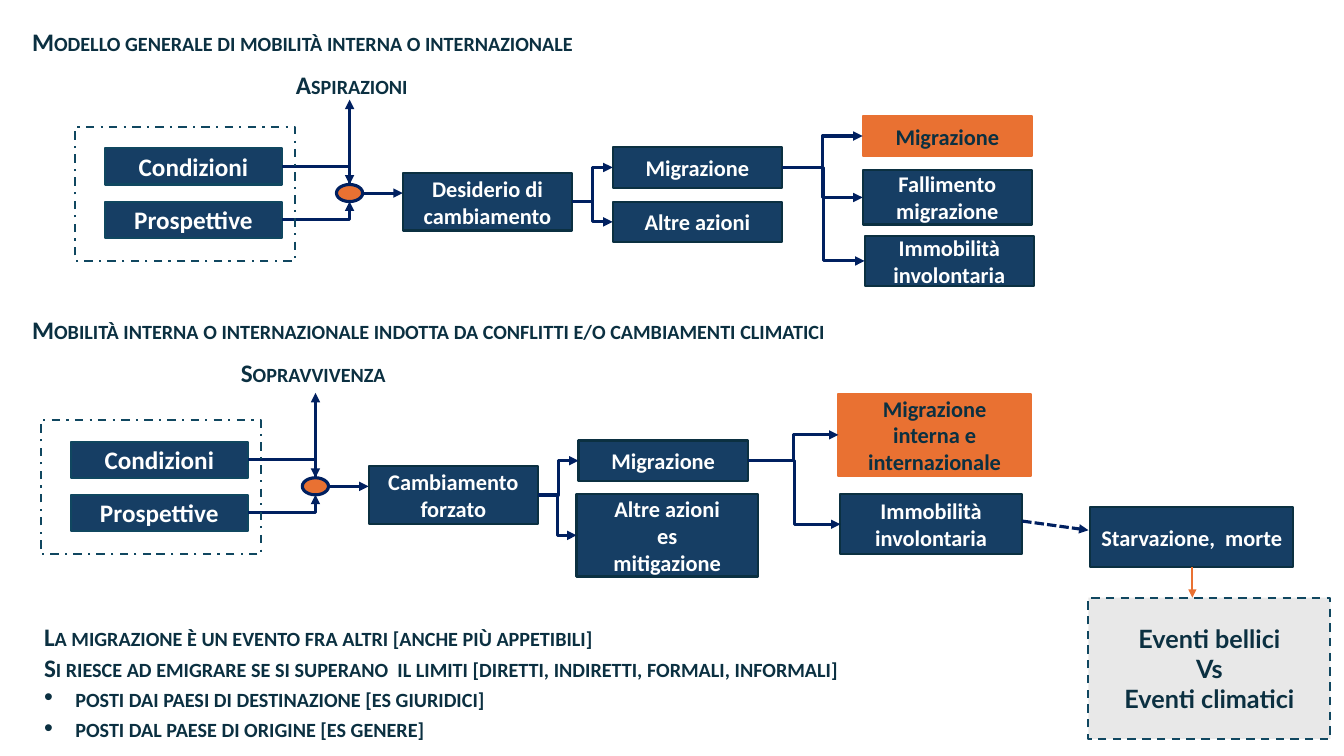
from lxml import etree
from pptx import Presentation
from pptx.dml.color import RGBColor
from pptx.enum.dml import MSO_LINE
from pptx.enum.shapes import MSO_CONNECTOR, MSO_SHAPE
from pptx.enum.text import MSO_ANCHOR, PP_ALIGN
from pptx.oxml.ns import qn
from pptx.util import Cm, Pt

RECT, OVAL = MSO_SHAPE.RECTANGLE, MSO_SHAPE.OVAL
STRAIGHT, ELBOW = MSO_CONNECTOR.STRAIGHT, MSO_CONNECTOR.ELBOW
DASH, SHORT_DASH, DASH_DOT = MSO_LINE.DASH, MSO_LINE.SQUARE_DOT, MSO_LINE.DASH_DOT
MIDDLE, CENTER = MSO_ANCHOR.MIDDLE, PP_ALIGN.CENTER
LEFT_SITE, RIGHT_SITE = 1, 3

COLORS = {
    "navy": "163E64", "ink": "0B3041", "teal": "104760", "arrow": "002060",
    "orange": "E97132", "grey": "E8E8E8", "white": "FFFFFF",
}


def rgb(name):
    return RGBColor.from_string(COLORS[name])


class FlowSlide:
    """Holds the style and the slide; every length is in centimetres."""

    def __init__(self, slide, font="Calibri"):
        self.shapes = slide.shapes
        self.font = font

    def set_text(self, frame, lines, size, color, font=None, small_caps=False):
        frame.text = "\n".join(lines)
        for paragraph in frame.paragraphs:
            for run in paragraph.runs:
                run.font.name = font or self.font
                run.font.size = Pt(size)
                run.font.bold = True
                run.font.color.rgb = rgb(color)
                if small_caps:
                    run._r.get_or_add_rPr().set("cap", "small")

    def outline(self, kind, x, y, width, height, fill, line, weight=1.5, dash=None):
        shape = self.shapes.add_shape(kind, Cm(x), Cm(y), Cm(width), Cm(height))
        shape.shadow.inherit = False
        if fill:
            shape.fill.solid()
            shape.fill.fore_color.rgb = rgb(fill)
        else:
            shape.fill.background()
        shape.line.color.rgb = rgb(line)
        shape.line.width = Pt(weight)
        if dash:
            shape.line.dash_style = dash
        return shape

    def box(self, x, y, width, height, *lines, fill="navy", line="ink", color="white",
            size=16, dash=None, font=None):
        shape = self.outline(RECT, x, y, width, height, fill, line, dash=dash)
        frame = shape.text_frame
        frame.word_wrap = True
        frame.vertical_anchor = MIDDLE
        self.set_text(frame, lines, size, color, font)
        for paragraph in frame.paragraphs:
            paragraph.alignment = CENTER
        return shape

    def goal_box(self, x, y, width, height, text):
        return self.box(x, y, width, height, text, fill="orange", line="orange", color="ink")

    def label(self, x, y, width, height, *lines, bullets_from=None):
        """Small-caps text; lines from index bullets_from on get a bullet."""
        frame = self.shapes.add_textbox(Cm(x), Cm(y), Cm(width), Cm(height)).text_frame
        frame.word_wrap = True
        self.set_text(frame, lines, 18, "ink", small_caps=True)
        if bullets_from is not None:
            for paragraph in frame.paragraphs[bullets_from:]:
                properties = paragraph._p.get_or_add_pPr()
                properties.set("marL", str(Cm(0.79)))
                properties.set("indent", str(-Cm(0.79)))
                font = etree.SubElement(properties, qn("a:buFont"))
                font.set("typeface", "Arial")
                etree.SubElement(properties, qn("a:buChar")).set("char", "•")

    def arrow(self, x1, y1, x2, y2, kind=STRAIGHT, color="arrow", weight=2.25, dash=None):
        connector = self.shapes.add_connector(kind, Cm(x1), Cm(y1), Cm(x2), Cm(y2))
        connector.line.color.rgb = rgb(color)
        connector.line.width = Pt(weight)
        if dash:
            connector.line.dash_style = dash
        line = connector.line._get_or_add_ln()
        etree.SubElement(line, qn("a:tailEnd")).set("type", "triangle")
        etree.SubElement(connector._element.spPr, qn("a:effectLst"))
        return connector

    def corner_arrow(self, x1, y1, x2, y2):
        """Runs level first, then turns once."""
        connector = self.arrow(x1, y1, x2, y2, ELBOW)
        connector._element.spPr.find(qn("a:prstGeom")).set("prst", "bentConnector2")

    def branch(self, source, *targets):
        """Elbow arrows from the right of one box to the left of others."""
        for target in targets:
            connector = self.arrow(0, 0, 1, 1, ELBOW)
            connector.begin_connect(source, RIGHT_SITE)
            connector.end_connect(target, LEFT_SITE)

    def drivers(self, x, y, decision):
        """Conditions and prospects, their junction, and the decision box."""
        box_width, box_height = 4.47, 0.91
        node_x, node_y, node_width, node_height = x + 6.58, y + 1.45, 0.66, 0.43
        node_center = node_x + node_width / 2
        for i, driver in enumerate(("Condizioni", "Prospettive")):
            top = y + 0.54 + 1.34 * i
            self.box(x + 0.74, top, box_width, box_height, driver, line="teal", size=18)
            self.corner_arrow(x + 0.74 + box_width, top + box_height / 2,
                              node_center, node_y + node_height * i)
        self.outline(OVAL, node_x, node_y, node_width, node_height, "orange", "arrow", 2.25)
        node_middle = node_y + node_height / 2
        self.arrow(node_x + node_width, node_middle, x + 8.25, node_middle)
        self.arrow(node_center, node_y, node_center, y - 0.69)
        self.outline(RECT, x, y, 5.54, 3.38, None, "teal", dash=DASH_DOT)
        return self.box(x + 8.25, y + 1.16, 4.27, 1.45, decision)


def general_model(flow):
    flow.label(0.56, 0.53, 16.89, 1.02, "Modello generale di mobilità interna o internazionale")
    flow.label(7.21, 1.63, 4.5, 1.02, "Aspirazioni")
    desire = flow.drivers(1.9, 3.2, "Desiderio di cambiamento")
    migration = flow.box(15.44, 3.71, 4.27, 1.02, "Migrazione")
    other = flow.box(15.44, 5.08, 4.27, 1.02, "Altre azioni")
    success = flow.goal_box(21.74, 2.92, 4.27, 1.02, "Migrazione")
    failure = flow.box(21.74, 4.29, 4.27, 1.37, "Fallimento migrazione")
    immobility = flow.box(21.79, 5.94, 4.27, 1.27, "Immobilità involontaria")
    flow.branch(desire, migration, other)
    flow.branch(migration, success, failure, immobility)


def forced_model(flow):
    flow.label(0.56, 7.8, 24.64, 1.02, "Mobilità interna o internazionale indotta "
               "da conflitti e/o cambiamenti climatici")
    flow.label(5.82, 8.89, 4.95, 1.02, "Sopravvivenza")
    change = flow.drivers(1.04, 10.59, "Cambiamento forzato")
    migration = flow.box(14.58, 11.1, 4.27, 1.02, "Migrazione")
    other = flow.box(14.53, 12.45, 4.57, 2.08, "Altre azioni", "es", "mitigazione")
    success = flow.goal_box(21.13, 9.93, 4.85, 2.06, "Migrazione interna e internazionale")
    immobility = flow.box(21.18, 12.45, 4.57, 1.52, "Immobilità involontaria")
    flow.branch(change, migration, other)
    flow.branch(migration, success, immobility)

    flow.box(27.48, 12.78, 5.11, 1.52, "Starvazione,  morte")
    flow.arrow(25.76, 13.13, 27.43, 13.36, dash=SHORT_DASH)
    flow.box(27.43, 15.06, 6.1, 3.56, "Eventi bellici", "Vs", "Eventi climatici",
             fill="grey", line="teal", color="ink", size=18, dash=DASH, font="Lato")
    flow.arrow(30.05, 14.3, 30.05, 15.06, color="orange", weight=1.5)


def main():
    presentation = Presentation()
    presentation.slide_width, presentation.slide_height = Cm(33.87), Cm(19.05)
    flow = FlowSlide(presentation.slides.add_slide(presentation.slide_layouts[6]))
    general_model(flow)
    forced_model(flow)
    flow.label(0.86, 15.54, 26.09, 3.33,
               "La migrazione è un evento fra altri [anche più appetibili]",
               "Si riesce ad emigrare se si superano  il limiti "
               "[diretti, indiretti, formali, informali]",
               "posti dai paesi di destinazione [es giuridici]",
               "posti dal paese di origine [es genere]", bullets_from=2)
    presentation.save("out.pptx")


if __name__ == "__main__":
    main()
